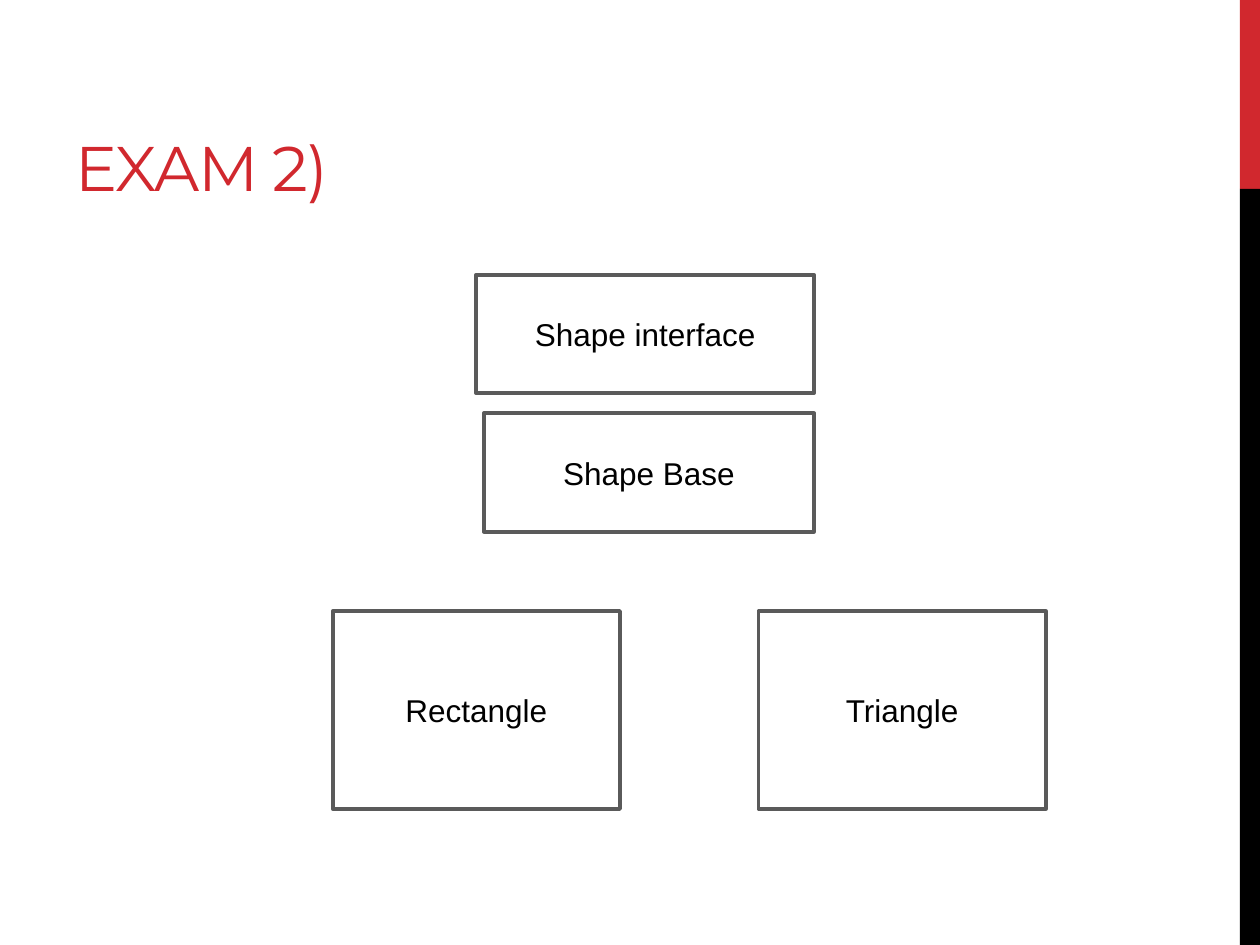
from pptx import Presentation
from pptx.dml.color import RGBColor
from pptx.enum.shapes import MSO_SHAPE
from pptx.enum.text import MSO_ANCHOR, PP_ALIGN
from pptx.util import Inches, Pt

RECT = MSO_SHAPE.RECTANGLE
LEFT, CENTER = PP_ALIGN.LEFT, PP_ALIGN.CENTER
MIDDLE, BOTTOM = MSO_ANCHOR.MIDDLE, MSO_ANCHOR.BOTTOM
RED, BLACK, GRAY = "D1282E", "000000", "5A5A5A"

deck = Presentation()
deck.slide_width, deck.slide_height = Inches(10), Inches(7.5)
slide = deck.slides.add_slide(deck.slide_layouts[6])

# A grid of 100 columns by 100 rows
col = deck.slide_width / 100
row = deck.slide_height / 100


def tint(code):
    return RGBColor.from_string(code)


def write(shape, text, size=18, font="Arial", color=BLACK, align=CENTER,
          anchor=MIDDLE, track=None):
    """Put one line of text in a shape; track is letter spacing in points."""
    frame = shape.text_frame
    frame.word_wrap = True
    frame.vertical_anchor = anchor
    para = frame.paragraphs[0]
    para.alignment = align
    run = para.add_run()
    run.text = text
    run.font.size = Pt(size)
    run.font.name = font
    run.font.color.rgb = tint(color)
    if track is not None:
        run.font._element.set("spc", str(round(track * 100)))


# Side band: red top fifth, black below
edge = 98.4
for top, high, color in [(0, 20, RED), (20, 80, BLACK)]:
    band = slide.shapes.add_shape(
        RECT, round(edge * col), round(top * row),
        round((100 - edge) * col), round(high * row))
    band.shadow.inherit = False
    band.fill.solid()
    band.fill.fore_color.rgb = tint(color)
    band.line.fill.background()

title = slide.shapes.add_textbox(
    round(5 * col), round(2.27 * row), round(78.1 * col), round(20 * row))
write(title, "EXAM 2)", size=36, font="Montserrat", color=RED, align=LEFT,
      anchor=BOTTOM, track=-0.6)

# Class boxes: text, left and width in columns, top and height in rows
boxes = [
    ("Shape interface", 37.8, 29.07, 26.8, 12.53),
    ("Shape Base", 38.4, 43.73, 26.2, 12.53),
    ("Rectangle", 26.4, 64.67, 22.8, 20.93),
    ("Triangle", 60.2, 64.67, 22.8, 20.93),
]
for text, left, top, wide, high in boxes:
    box = slide.shapes.add_shape(
        RECT, round(left * col), round(top * row),
        round(wide * col), round(high * row))
    box.shadow.inherit = False
    box.fill.background()
    box.line.color.rgb = tint(GRAY)
    box.line.width = Pt(2.25)
    write(box, text)

deck.save("out.pptx")
